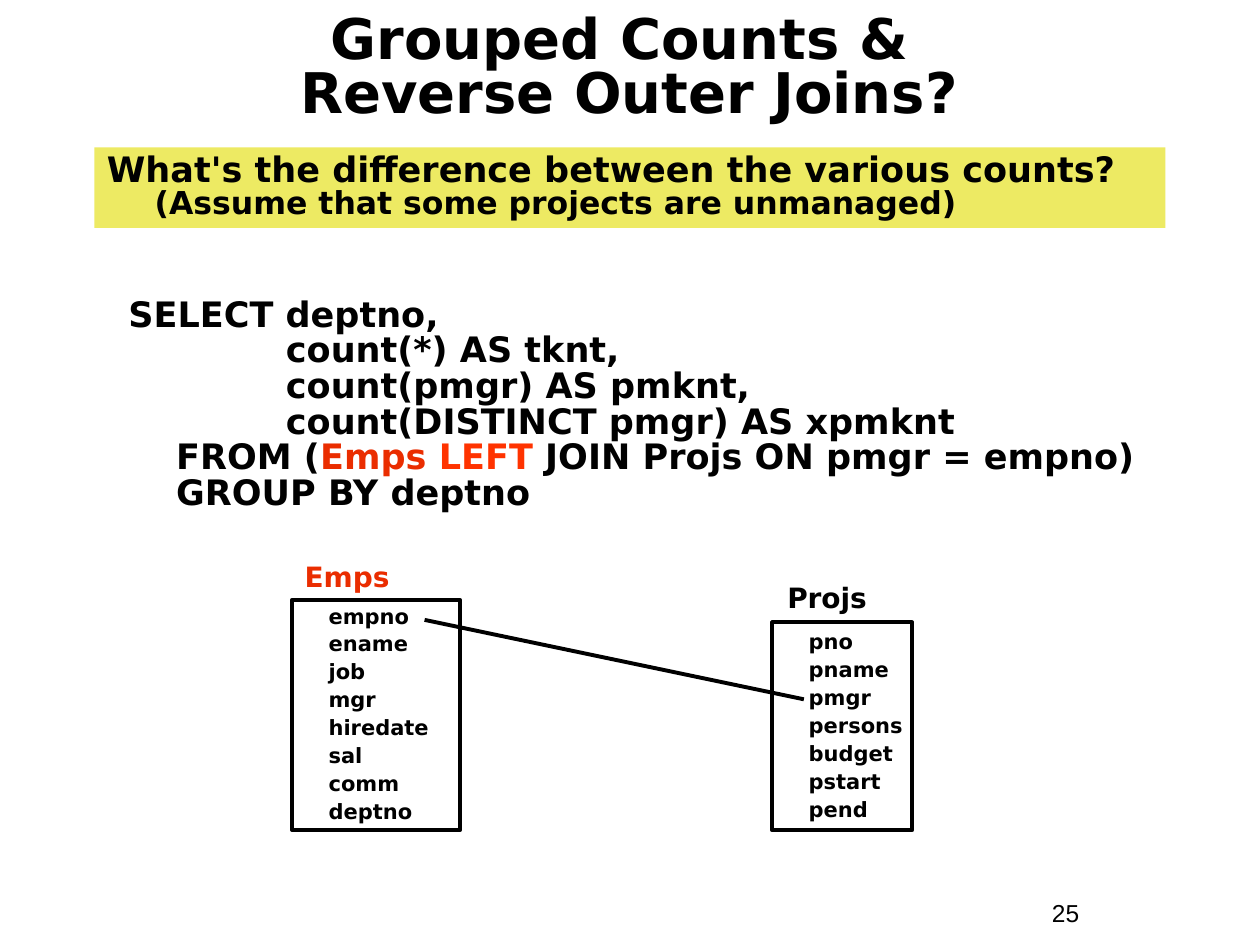
from lxml import etree
from pptx import Presentation
from pptx.dml.color import RGBColor
from pptx.enum.shapes import MSO_CONNECTOR, MSO_SHAPE
from pptx.enum.text import MSO_ANCHOR, MSO_AUTO_SIZE, PP_ALIGN
from pptx.oxml.ns import qn
from pptx.util import Inches, Pt

RECTANGLE = MSO_SHAPE.RECTANGLE
STRAIGHT = MSO_CONNECTOR.STRAIGHT
TOP, MIDDLE = MSO_ANCHOR.TOP, MSO_ANCHOR.MIDDLE
LEFT, CENTER = PP_ALIGN.LEFT, PP_ALIGN.CENTER
NO_AUTOFIT = MSO_AUTO_SIZE.NONE

COLORS = {"black": "000000", "banner": "EDEA63", "emps": "EA2D00", "left": "FF3300"}
LINE_WIDTH = Pt(2.25)
HANGING = 0.38


def style(box, size, spacing=0.9, align=LEFT, anchor=TOP, indent=0, hanging=0,
          before=0, color="black", font="DejaVu Sans", bold=True):
    """Format the frame, paragraphs and runs of a box that already has its text."""
    frame = box.text_frame
    frame.word_wrap = True
    frame.auto_size = NO_AUTOFIT
    frame.vertical_anchor = anchor
    for index, para in enumerate(frame.paragraphs):
        para.alignment = align
        para.line_spacing = spacing
        para.space_before = Pt(before if index else 0)
        properties = para._p.get_or_add_pPr()
        properties.set("marL", str(Inches(indent)))
        properties.set("indent", str(-Inches(hanging)))
        for span in para.runs:
            span.font.name = font
            span.font.size = Pt(size)
            span.font.bold = bold
            span.font.color.rgb = RGBColor.from_string(COLORS[color])


def add_rectangle(page, left, top, width, height):
    box = page.shapes.add_shape(RECTANGLE, Inches(left), Inches(top),
                                Inches(width), Inches(height))
    box.shadow.inherit = False
    return box


deck = Presentation()
deck.slide_width, deck.slide_height = Inches(10), Inches(7.5)
page = deck.slides.add_slide(deck.slide_layouts[5])

# Page number
number = page.shapes.add_textbox(Inches(8.25), Inches(7.08), Inches(0.92), Inches(0.34))
number.text_frame.text = "25"
style(number, 14, spacing=1, font="Arial", bold=False)

# Title
title = page.shapes.title
title.left, title.top = Inches(0.33), Inches(0.1)
title.width, title.height = Inches(9.33), Inches(0.92)
title.text_frame.text = "Grouped Counts & \vReverse Outer Joins?"
style(title, 32, spacing=0.8, align=CENTER, anchor=MIDDLE)

# Query
query = page.shapes.add_textbox(Inches(0.92), Inches(2.32), Inches(8.42), Inches(1.8))
query.text_frame.text = (
    "SELECT deptno,\v"
    "         count(*) AS tknt,\v"
    "         count(pmgr) AS pmknt,\v"
    "         count(DISTINCT pmgr) AS xpmknt\v"
    "FROM ("
)
statement = query.text_frame.paragraphs[0]
for text in ("Emps ", "LEFT", " JOIN Projs ON pmgr = empno)"):
    statement.add_run().text = text
statement.add_line_break()
statement.add_run().text = "GROUP BY deptno"
style(query, 20, spacing=0.85, indent=HANGING, hanging=HANGING)
for span in statement.runs:
    if span.text == "Emps ":
        span.font.color.rgb = RGBColor.from_string(COLORS["emps"])
    elif span.text == "LEFT":
        span.font.color.rgb = RGBColor.from_string(COLORS["left"])

# Question banner
banner = add_rectangle(page, 0.75, 1.17, 8.5, 0.64)
banner.fill.solid()
banner.fill.fore_color.rgb = RGBColor.from_string(COLORS["banner"])
banner.line.fill.background()
banner.text_frame.text = (
    "What's the difference between the various counts?\v"
    "(Assume that some projects are unmanaged)"
)
style(banner, 20, spacing=0.85, indent=HANGING, hanging=HANGING)
banner.text_frame.paragraphs[0].runs[1].font.size = Pt(18)

# Tables: name, name colour, name position, box, columns
tables = [
    ("Emps", "emps", (2.32, 4.42), (2.32, 4.76, 1.33, 1.83),
     ["empno", "ename", "job", "mgr", "hiredate", "sal", "comm", "deptno"]),
    ("Projs", "black", (6.15, 4.59), (6.13, 4.94, 1.11, 1.65),
     ["pno", "pname", "pmgr", "persons", "budget", "pstart", "pend"]),
]
for name, color, (left, top), area, columns in tables:
    box = add_rectangle(page, *area)
    box.fill.background()
    box.line.color.rgb = RGBColor.from_string(COLORS["black"])
    box.line.width = LINE_WIDTH
    box.text_frame.text = "\n".join(columns)
    box.text_frame.margin_right = 0
    style(box, 12, anchor=MIDDLE, indent=0.19, before=3)

    label = page.shapes.add_textbox(Inches(left), Inches(top), Inches(1.36), Inches(0.34))
    label.text_frame.text = name
    style(label, 16, color=color)

# Join from empno to pmgr
join = page.shapes.add_connector(STRAIGHT, Inches(3.37), Inches(4.92),
                                 Inches(6.38), Inches(5.55))
join.line.color.rgb = RGBColor.from_string(COLORS["black"])
join.line.width = LINE_WIDTH
etree.SubElement(join._element.spPr, qn("a:effectLst"))

deck.save("out.pptx")
